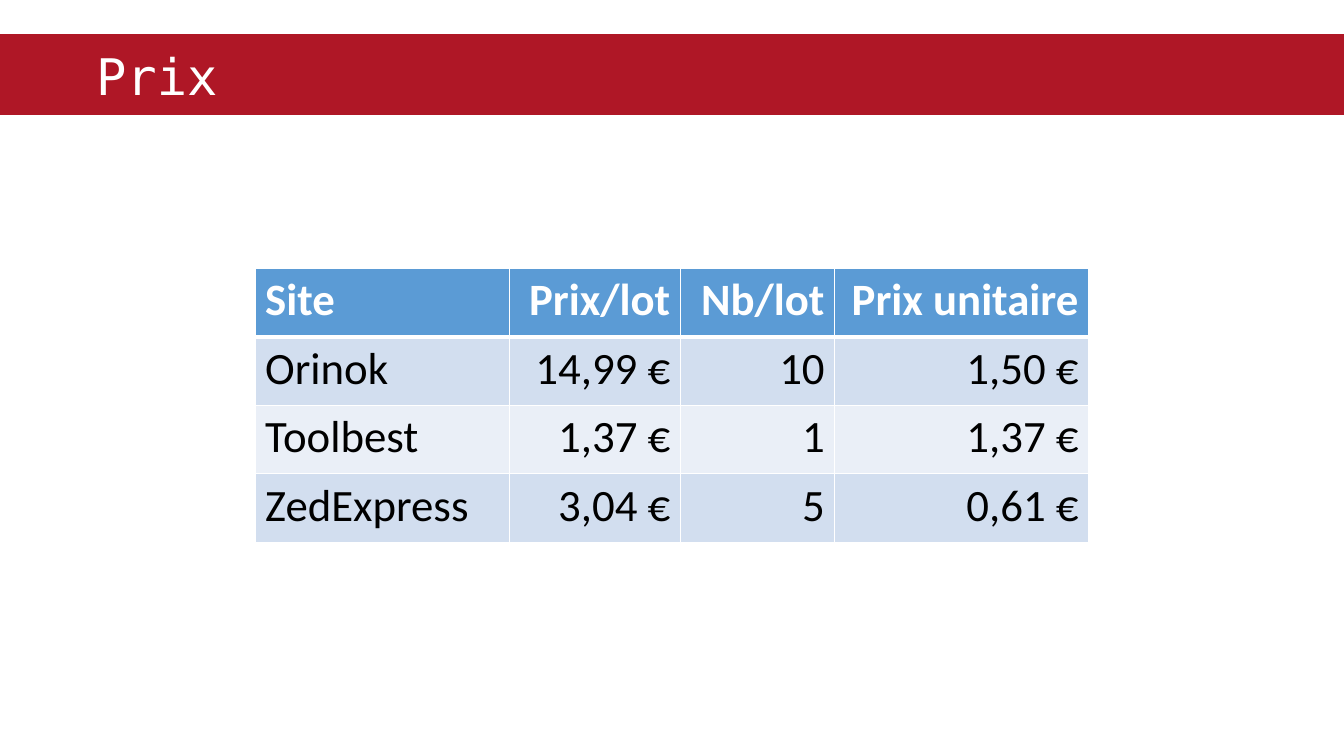
from dataclasses import dataclass

import pptx
import pptx.dml.color
import pptx.enum.shapes
import pptx.enum.text
import pptx.oxml
import pptx.oxml.ns
import pptx.util

PIXEL = 9144  # EMU, 100 px to the inch

WHITE = pptx.dml.color.RGBColor(0xFF, 0xFF, 0xFF)
BLACK = pptx.dml.color.RGBColor(0x00, 0x00, 0x00)
RED = pptx.dml.color.RGBColor(0xAF, 0x17, 0x26)
BLUE = pptx.dml.color.RGBColor(0x5B, 0x9B, 0xD5)
BAND_DARK = pptx.dml.color.RGBColor(0xD2, 0xDE, 0xEF)
BAND_LIGHT = pptx.dml.color.RGBColor(0xEA, 0xEF, 0xF7)

SLIDE_WIDTH, SLIDE_HEIGHT = 1333, 750
TABLE_LEFT, TABLE_TOP, ROW_HEIGHT = 253, 266, 68
THIN, THICK = 1, 3


@dataclass(frozen=True)
class Column:
    width: int
    align: pptx.enum.text.PP_ALIGN


@dataclass(frozen=True)
class RowStyle:
    fill: pptx.dml.color.RGBColor
    color: pptx.dml.color.RGBColor
    bold: bool
    bottom: int


COLUMNS = [
    Column(252, pptx.enum.text.PP_ALIGN.LEFT),
    Column(170, pptx.enum.text.PP_ALIGN.RIGHT),
    Column(153, pptx.enum.text.PP_ALIGN.RIGHT),
    Column(252, pptx.enum.text.PP_ALIGN.RIGHT),
]
PRICES = [
    ("Site", "Prix/lot", "Nb/lot", "Prix unitaire"),
    ("Orinok", "14,99 €", "10", "1,50 €"),
    ("Toolbest", "1,37 €", "1", "1,37 €"),
    ("ZedExpress", "3,04 €", "5", "0,61 €"),
]


def px(length: int) -> pptx.util.Emu:
    return pptx.util.Emu(length * PIXEL)


def row_style(index: int) -> RowStyle:
    if index == 0:
        return RowStyle(BLUE, WHITE, True, THICK)
    return RowStyle(BAND_DARK if index % 2 else BAND_LIGHT, BLACK, False, THIN)


def format_text(para, font_name: str, size: int, color, bold: bool = False) -> None:
    for span in para.runs:
        span.font.name = font_name
        span.font.size = pptx.util.Pt(size)
        span.font.color.rgb = color
        span.font.bold = bold


def set_borders(cell, style: RowStyle) -> None:
    properties = cell._tc.get_or_add_tcPr()
    widths = {"lnL": THIN, "lnR": THIN, "lnT": THIN, "lnB": style.bottom}
    for position, (side, width) in enumerate(widths.items()):
        border = pptx.oxml.parse_xml(
            f'<a:{side} {pptx.oxml.ns.nsdecls("a")} w="{pptx.util.Pt(width)}">'
            f'<a:solidFill><a:srgbClr val="{WHITE}"/></a:solidFill></a:{side}>'
        )
        properties.insert(position, border)


def add_banner(page) -> None:
    banner = page.shapes.add_shape(
        pptx.enum.shapes.MSO_SHAPE.RECTANGLE, px(0), px(34), px(SLIDE_WIDTH), px(80)
    )
    banner.shadow.inherit = False
    banner.fill.solid()
    banner.fill.fore_color.rgb = RED
    banner.line.fill.background()


def add_title(page) -> None:
    box = page.shapes.add_textbox(px(83), px(40), px(145), px(71))
    box.text_frame.word_wrap = False
    box.text_frame.text = "Prix"
    para = box.text_frame.paragraphs[0]
    para.alignment = pptx.enum.text.PP_ALIGN.CENTER
    format_text(para, "DejaVu Sans Mono", 36, WHITE)


def add_price_table(page) -> None:
    width = sum(column.width for column in COLUMNS)
    table = page.shapes.add_table(
        len(PRICES), len(COLUMNS), px(TABLE_LEFT), px(TABLE_TOP),
        px(width), px(ROW_HEIGHT * len(PRICES)),
    ).table
    for index, column in enumerate(COLUMNS):
        table.columns[index].width = px(column.width)
    for row_index, texts in enumerate(PRICES):
        table.rows[row_index].height = px(ROW_HEIGHT)
        style = row_style(row_index)
        for column_index, text in enumerate(texts):
            cell = table.cell(row_index, column_index)
            cell.text_frame.text = text
            para = cell.text_frame.paragraphs[0]
            para.alignment = COLUMNS[column_index].align
            format_text(para, "Calibri", 32, style.color, style.bold)
            set_borders(cell, style)
            cell.fill.solid()
            cell.fill.fore_color.rgb = style.fill


def main() -> None:
    deck = pptx.Presentation()
    deck.slide_width, deck.slide_height = px(SLIDE_WIDTH), px(SLIDE_HEIGHT)
    page = deck.slides.add_slide(deck.slide_layouts[6])
    # Title band
    add_banner(page)
    add_title(page)
    # Price comparison
    add_price_table(page)
    deck.save("out.pptx")


if __name__ == "__main__":
    main()
